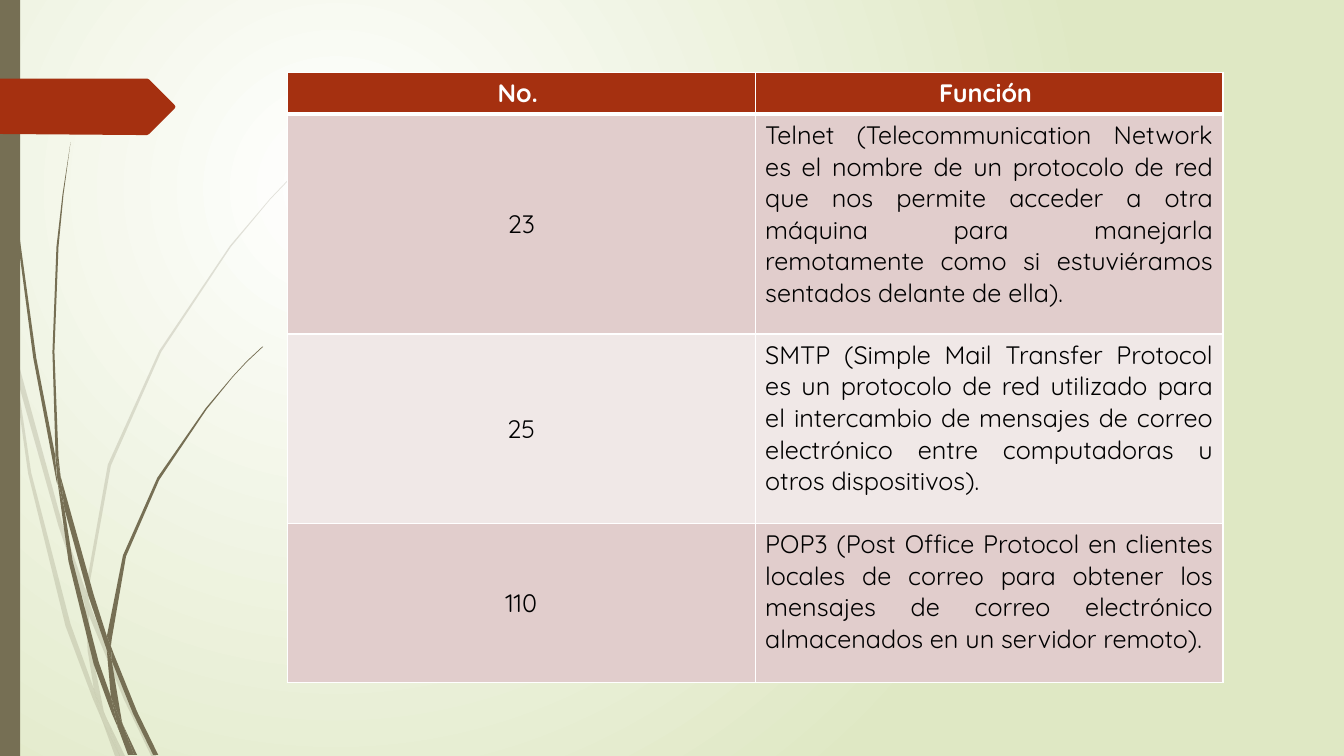
"""Builds a slide with a table of mail and remote access ports."""
import pptx
import pptx.util
import pptx.dml.color
import pptx.enum.shapes
import pptx.enum.text
import pptx.oxml.ns
from lxml import etree

OLIVE, RUST, WHITE, BLACK = "766F54", "A53010", "FFFFFF", "000000"
BANDS = ["E1CDCC", "F0E8E7"]
FONT, SIZE = "Quicksand", 18

ROWS = [
    ("No. ", "Función "),
    ("23", "Telnet (Telecommunication Network es el nombre de un protocolo de red que nos permite "
     "acceder a otra máquina para manejarla remotamente como si estuviéramos sentados delante de ella)."),
    ("25", "SMTP (Simple Mail Transfer Protocol es un protocolo de red utilizado para el intercambio "
     "de mensajes de correo electrónico entre computadoras u otros dispositivos)."),
    ("110", "POP3 (Post Office Protocol en clientes locales de correo para obtener los mensajes de "
     "correo electrónico almacenados en un servidor remoto)."),
]
ROW_HEIGHTS = [0.4, 2.18, 1.88, 1.58]
TABLE_LEFT, TABLE_TOP, COL_WIDTH = 2.85, 0.72, 4.64

PALE_BLADES = [
    [(0.11, 3.5), (0.09, 3.22), (0, 2.82), (0, 2.99), (0.1, 3.44)],
    [(0.58, 5.22), (0.84, 5.99), (0.85, 5.86), (0.62, 5.2), (0.14, 3.45), (0.17, 3.76)],
    [(0.92, 6.07), (0.88, 5.96), (0.88, 6.1), (1.23, 6.94), (1.5, 7.5), (1.55, 7.5), (1.27, 6.92)],
    [(1.19, 7.5), (1.24, 7.5), (1.05, 7.11)],
    [(0.93, 6.83), (0.7, 6.19), (0.31, 4.69), (0.17, 3.76), (0.11, 3.5), (0.28, 4.7),
     (0.65, 6.21), (0.92, 6.93), (1.01, 7.14), (0.99, 7.07)],
    [(0.84, 5.99), (0.87, 6.46), (0.93, 6.83), (0.96, 6.92), (1.05, 7.11), (1.03, 7.06),
     (0.91, 6.46), (0.88, 6.1), (0.88, 6.08)],
    [(0.88, 5.84), (1.1, 4.62), (1.6, 3.49), (2.29, 2.45), (2.68, 1.98), (2.9, 1.75), (3.12, 1.54),
     (3.12, 1.53), (2.89, 1.75), (2.68, 1.97), (2.28, 2.44), (1.58, 3.48), (1.07, 4.61),
     (0.85, 5.84), (0.85, 5.86), (0.88, 5.96)],
    [(1.01, 7.14), (1.14, 7.5), (1.19, 7.5)],
    [(0.88, 6.08), (0.88, 6.1), (0.88, 5.96), (0.85, 5.86), (0.84, 5.99)],
    [(0.96, 6.92), (0.93, 6.83), (0.99, 7.07), (1.01, 7.14), (1.19, 7.5), (1.05, 7.11)],
]
DARK_BLADES = [
    [(0.07, 1.1), (0.17, 2.33), (0.33, 3.55), (0.56, 4.77), (0.57, 4.81), (0.55, 4.57), (0.55, 4.53),
     (0.36, 3.55), (0.19, 2.32), (0.08, 1.09), (0.05, 0.48), (0.04, 0), (0.03, 0), (0.04, 0.48)],
    [(0.88, 5.92), (1.06, 6.45), (1.06, 6.33), (1.06, 6.31), (0.93, 5.9), (0.6, 4.72), (0.64, 5.05)],
    [(1.13, 6.49), (1.1, 6.41), (1.11, 6.56), (1.32, 7.08), (1.52, 7.49), (1.57, 7.49), (1.36, 7.06)],
    [(1.1, 6.91), (0.98, 6.57), (0.72, 5.56), (0.64, 5.05), (0.57, 4.77), (0.68, 5.57),
     (0.93, 6.59), (1.11, 7.08), (1.17, 7.22), (1.16, 7.17)],
    [(0.6, 4.72), (0.58, 4.53), (0.54, 3.49), (0.58, 2.45), (0.63, 1.93), (0.7, 1.41),
     (0.62, 1.93), (0.56, 2.45), (0.52, 3.49), (0.55, 4.49)],
    [(1.33, 7.49), (1.36, 7.49), (1.22, 7.19)],
    [(0.57, 4.77), (0.64, 5.05), (0.6, 4.72), (0.55, 4.49), (0.55, 4.53)],
    [(1.11, 6.33), (1.25, 5.52), (1.58, 4.76), (2.05, 4.06), (2.31, 3.74), (2.45, 3.59), (2.61, 3.44),
     (2.6, 3.44), (2.45, 3.58), (2.31, 3.73), (2.04, 4.05), (1.56, 4.74), (1.22, 5.51),
     (1.06, 6.31), (1.1, 6.41)],
    [(1.17, 7.22), (1.27, 7.49), (1.31, 7.49)],
    [(1.06, 6.45), (1.1, 6.91), (1.16, 7.06), (1.22, 7.19), (1.21, 7.16), (1.11, 6.56), (1.09, 6.51)],
    [(1.06, 6.45), (1.09, 6.51), (1.11, 6.56), (1.1, 6.41), (1.06, 6.31), (1.06, 6.33)],
    [(1.16, 7.06), (1.1, 6.91), (1.16, 7.17), (1.17, 7.22), (1.3, 7.49), (1.33, 7.49), (1.22, 7.19)],
]
TAG = [(1.73, 1.08), (1.48, 1.33), (1.46, 1.34), (1.36, 1.34), (0, 1.33), (0, 0.78),
       (1.46, 0.78), (1.48, 0.79), (1.73, 1.04), (1.74, 1.06)]

Inches = pptx.util.Inches
qn = pptx.oxml.ns.qn


def rgb(color):
    return pptx.dml.color.RGBColor.from_string(color)


def paint(sp, color, alpha=None):
    sp.shadow.inherit = False
    sp.fill.solid()
    sp.fill.fore_color.rgb = rgb(color)
    sp.line.fill.background()
    if alpha:
        clr = sp.element.spPr.find(".//" + qn("a:srgbClr"))
        etree.SubElement(clr, qn("a:alpha"), val=str(alpha * 1000))


def add_outline(shapes, points, color, alpha=None):
    start, *rest = [(Inches(x), Inches(y)) for x, y in points]
    builder = shapes.build_freeform(*start)
    builder.add_line_segments(rest)
    paint(builder.convert_to_shape(), color, alpha)


def set_background(s):
    fill = s.background.fill
    fill.gradient()
    for stop, color in zip(fill.gradient_stops, [WHITE, "DFE8C4"]):
        stop.color.rgb = rgb(color)
    grad = s.element.find(".//" + qn("a:gradFill"))
    lin = grad.find(qn("a:lin"))
    circle = etree.Element(qn("a:path"), path="circle")
    etree.SubElement(circle, qn("a:fillToRect"), l="50000", t="50000", r="100000", b="100000")
    grad.replace(lin, circle)


def set_borders(cell, top, bottom):
    tc_pr = cell._tc.get_or_add_tcPr()
    sides = [("L", 1), ("R", 1), ("T", top), ("B", bottom)]
    for i, (side, width) in enumerate(sides):
        ln = etree.Element(qn("a:ln" + side), w=str(pptx.util.Pt(width)))
        fill = etree.SubElement(ln, qn("a:solidFill"))
        etree.SubElement(fill, qn("a:srgbClr"), val=WHITE)
        tc_pr.insert(i, ln)


def fill_cell(cell, text, row, col):
    header = row == 0
    cell.fill.solid()
    cell.fill.fore_color.rgb = rgb(RUST if header else BANDS[(row - 1) % 2])
    set_borders(cell, 3 if row == 1 else 1, 3 if header else 1)
    centred = header or col == 0
    if centred and not header:
        cell.vertical_anchor = pptx.enum.text.MSO_ANCHOR.MIDDLE
    p = cell.text_frame.paragraphs[0]
    align = pptx.enum.text.PP_ALIGN
    p.alignment = align.CENTER if centred else align.JUSTIFY
    r = p.add_run()
    r.text = text
    r.font.name = FONT
    r.font.size = pptx.util.Pt(SIZE)
    r.font.bold = header
    r.font.color.rgb = rgb(WHITE if header else BLACK)


def add_ports_table(s):
    cols = len(ROWS[0])
    table = s.shapes.add_table(len(ROWS), cols, Inches(TABLE_LEFT), Inches(TABLE_TOP),
                               Inches(COL_WIDTH * cols), Inches(sum(ROW_HEIGHTS))).table
    for column in table.columns:
        column.width = Inches(COL_WIDTH)
    for i, (height, texts) in enumerate(zip(ROW_HEIGHTS, ROWS)):
        table.rows[i].height = Inches(height)
        for j, text in enumerate(texts):
            fill_cell(table.cell(i, j), text, i, j)


def main():
    prs = pptx.Presentation()
    prs.slide_width, prs.slide_height = Inches(13.33), Inches(7.5)
    s = prs.slides.add_slide(prs.slide_layouts[6])
    set_background(s)
    for blades, alpha in [(PALE_BLADES, 20), (DARK_BLADES, None)]:
        group = s.shapes.add_group_shape()
        for blade in blades:
            add_outline(group.shapes, blade, OLIVE, alpha)
    strip = s.shapes.add_shape(pptx.enum.shapes.MSO_SHAPE.RECTANGLE, 0, 0, Inches(0.2), prs.slide_height)
    paint(strip, OLIVE)
    add_outline(s.shapes, TAG, RUST)
    add_ports_table(s)
    prs.save("out.pptx")


if __name__ == "__main__":
    main()
